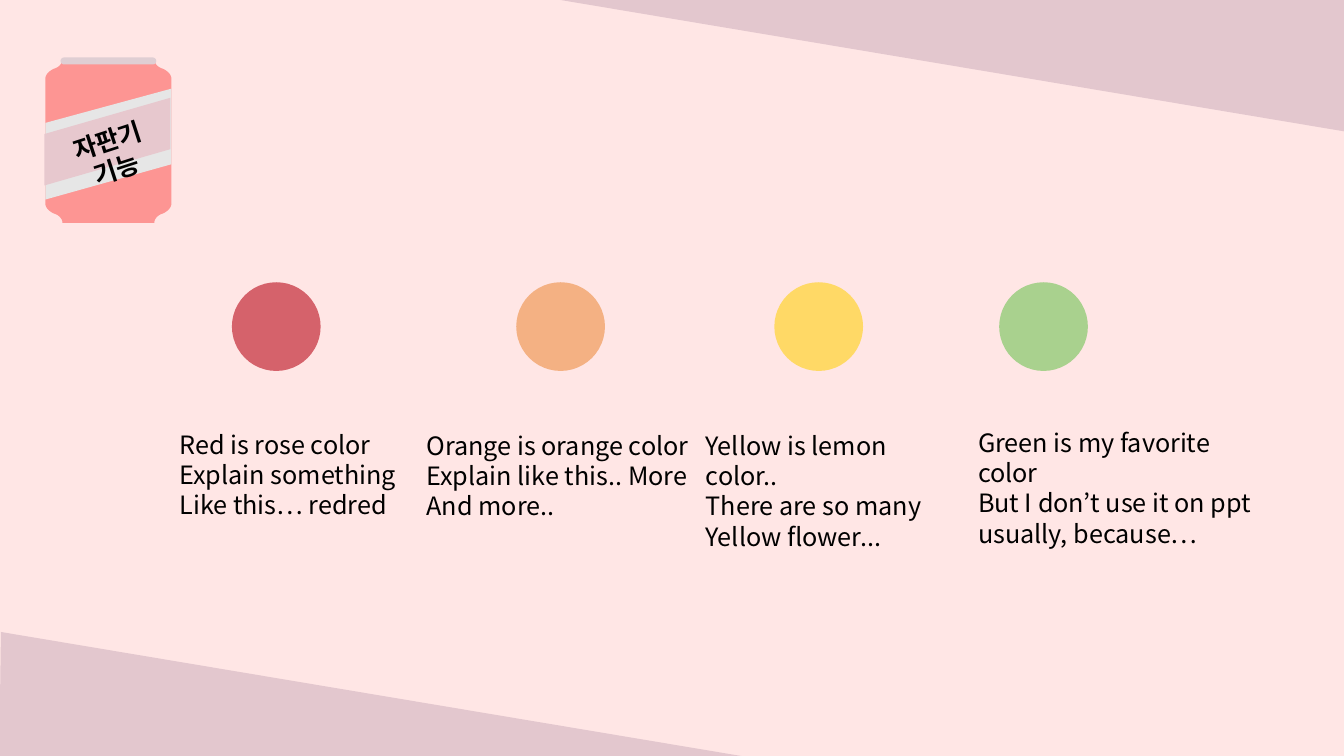
from dataclasses import dataclass

from pptx import Presentation
from pptx.dml.color import RGBColor
from pptx.enum.shapes import MSO_SHAPE
from pptx.enum.text import MSO_ANCHOR, MSO_AUTO_SIZE, PP_ALIGN
from pptx.util import Inches, Pt

OVAL = MSO_SHAPE.OVAL
ROUNDED = MSO_SHAPE.ROUNDED_RECTANGLE
TOP = MSO_ANCHOR.TOP
LEFT, CENTER = PP_ALIGN.LEFT, PP_ALIGN.CENTER
FIT_SHAPE = MSO_AUTO_SIZE.SHAPE_TO_FIT_TEXT
TITLE_ONLY = 5


@dataclass(frozen=True)
class Theme:
    font: str = "Noto Sans CJK KR"
    text_size: int = 18
    text: str = "000000"
    background: str = "FFE6E5"
    wedge: str = "E3C7CE"
    can: str = "FD9593"
    lid: str = "DFCED3"
    band: str = "E6E6E6"
    label: str = "E7C8CE"
    red: str = "D5626B"
    orange: str = "F4B183"
    yellow: str = "FFD966"
    green: str = "A9D18E"


class SlideBuilder:
    def __init__(self, slide, theme):
        self.slide = slide
        self.theme = theme
        slide.background.fill.solid()
        slide.background.fill.fore_color.rgb = RGBColor.from_string(theme.background)

    def paint(self, shape, color):
        shape.shadow.inherit = False
        shape.fill.solid()
        shape.fill.fore_color.rgb = RGBColor.from_string(color)
        shape.line.fill.background()

    def polygon(self, points, color):
        corners = [(Inches(x), Inches(y)) for x, y in points]
        builder = self.slide.shapes.build_freeform(*corners[0])
        builder.add_line_segments(corners[1:], close=True)
        self.paint(builder.convert_to_shape(), color)

    def preset(self, kind, box, color):
        shape = self.slide.shapes.add_shape(kind, *map(Inches, box))
        self.paint(shape, color)
        return shape

    def set_text(self, shape, lines, alignment=LEFT, bold=False):
        frame = shape.text_frame
        frame.word_wrap = True
        frame.auto_size = FIT_SHAPE
        frame.vertical_anchor = TOP
        frame.margin_left = frame.margin_right = Inches(0.05)
        frame.margin_top = frame.margin_bottom = Inches(0.05)
        frame.text = "\n".join(lines)
        for paragraph in frame.paragraphs:
            paragraph.alignment = alignment
            paragraph.line_spacing = 1.0
            paragraph.space_before = Pt(0)
            paragraph.font.name = self.theme.font
            paragraph.font.size = Pt(self.theme.text_size)
            paragraph.font.bold = bold
            paragraph.font.color.rgb = RGBColor.from_string(self.theme.text)

    def text(self, box, lines):
        self.set_text(self.slide.shapes.add_textbox(*map(Inches, box)), lines)

    def title(self, box, text, rotation):
        title = self.slide.shapes.title
        title.left, title.top, title.width, title.height = map(Inches, box)
        title.rotation = rotation
        self.set_text(title, [text], CENTER, bold=True)
        # Bring the title in front of the can
        self.slide.shapes.element.append(title.element)


def curve(start, first, second, end, steps=8):
    """Points along a cubic curve."""
    for step in range(steps + 1):
        t = step / steps
        weights = ((1 - t) ** 3, 3 * t * (1 - t) ** 2, 3 * t * t * (1 - t), t ** 3)
        points = (start, first, second, end)
        yield tuple(sum(w * p[axis] for w, p in zip(weights, points)) for axis in (0, 1))


def can_outline(left, top, width, height):
    """One curved shoulder, mirrored to all four corners."""
    shoulder = [*curve((0, 0.19), (0, 0.15), (0.04, 0.11), (0.09, 0.09)),
                *curve((0.09, 0.09), (0.13, 0.08), (0.17, 0.04), (0.17, 0))]
    upper = shoulder + [(width - x, y) for x, y in reversed(shoulder)]
    lower = [(x, height - y) for x, y in reversed(upper)]
    return [(left + x, top + y) for x, y in upper + lower]


def slanted_band(left, right, left_top, right_top, left_bottom, right_bottom):
    return [(left, left_top), (right, right_top), (right, right_bottom), (left, left_bottom)]


def main():
    presentation = Presentation()
    presentation.slide_width, presentation.slide_height = Inches(13.33), Inches(7.5)
    slide = presentation.slides.add_slide(presentation.slide_layouts[TITLE_ONLY])
    theme = Theme()
    builder = SlideBuilder(slide, theme)

    # Corner wedges
    builder.polygon([(-0.02, 8.5), (0.01, 6.27), (13.32, 8.5)], theme.wedge)
    builder.polygon([(13.4, -0.92), (13.37, 1.31), (0.07, -0.92)], theme.wedge)

    # Drink can with its slanted label
    builder.polygon(can_outline(0.45, 0.59, 1.25, 1.62), theme.can)
    lid = builder.preset(ROUNDED, (0.6, 0.57, 0.95, 0.07), theme.lid)
    lid.adjustments[0] = 0.5
    builder.polygon(slanted_band(0.45, 1.7, 1.22, 0.88, 1.98, 1.63), theme.band)
    builder.polygon(slanted_band(0.44, 1.69, 1.33, 0.97, 1.84, 1.48), theme.label)
    builder.title((0.45, 1.19, 1.23, 0.4), "자판기 기능", rotation=342)

    # Colour dots and their descriptions
    dot_top, dot_size, text_height = 2.8, 0.88, 0.93
    columns = [
        (theme.red, 2.3, (1.73, 4.21, 2.26),
         ["Red is rose color", "Explain something", "Like this… redred"]),
        (theme.orange, 5.12, (4.18, 4.22, 2.73),
         ["Orange is orange color", "Explain like this.. More", "And more.."]),
        (theme.yellow, 7.68, (6.95, 4.22, 2.58),
         ["Yellow is lemon color..", "There are so many", "Yellow flower..."]),
        (theme.green, 9.91, (9.65, 4.19, 3.01),
         ["Green is my favorite color", "But I don’t use it on ppt", "usually, because…"]),
    ]
    for color, dot_left, text_place, lines in columns:
        builder.preset(OVAL, (dot_left, dot_top, dot_size, dot_size), color)
        builder.text((*text_place, text_height), lines)

    presentation.save("out.pptx")


if __name__ == "__main__":
    main()
